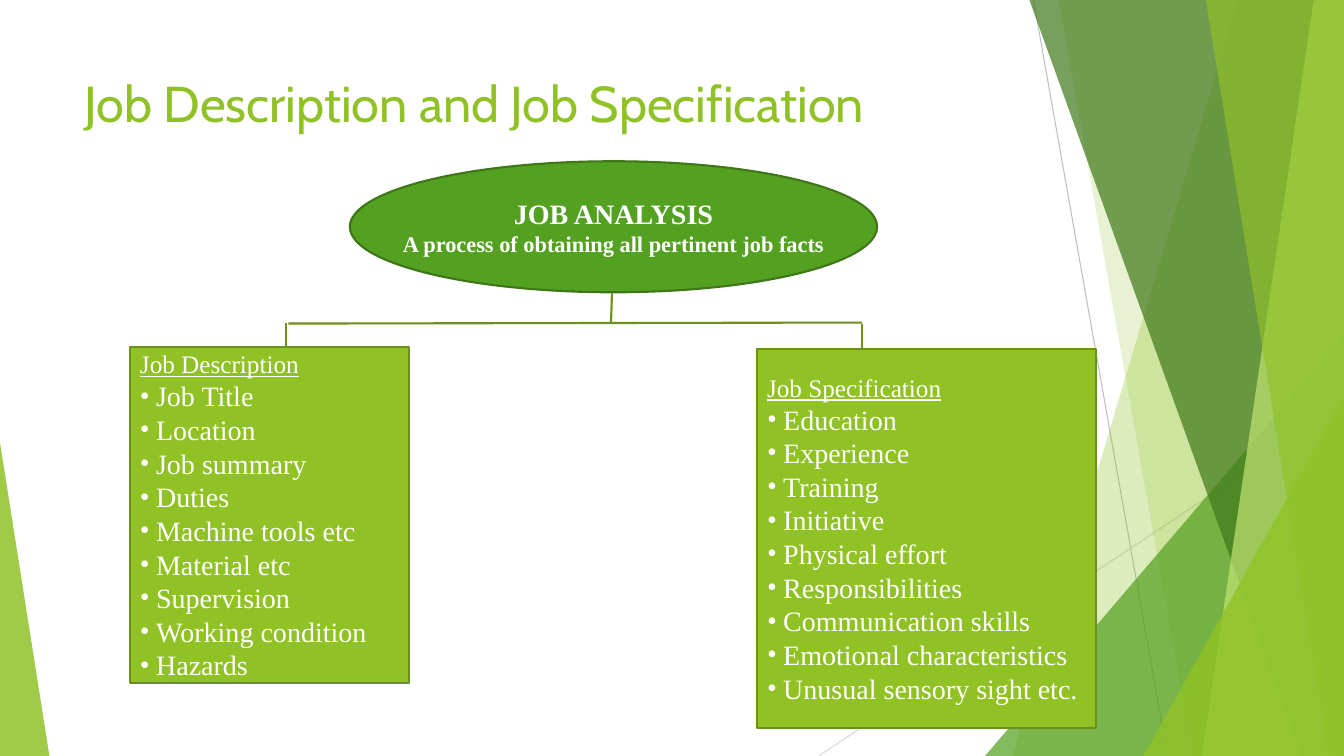
from dataclasses import dataclass

from lxml import etree
from pptx import Presentation
from pptx import util as u
from pptx.dml.color import RGBColor
from pptx.enum import shapes, text
from pptx.oxml import ns

PX = 9144  # EMU per px, 100 px to the inch
WIDTH, HEIGHT = 1333, 750
HANGING_INDENT = 16

COLOURS = {
    "lime": "90C226",
    "pale lime": "C0E474",
    "green": "54A021",
    "dark green": "3F7819",
    "ellipse edge": "3E7618",
    "olive": "6B901C",
    "grey": "BFBFBF",
    "light grey": "D9D9D9",
    "white": "FFFFFF",
}
SERIF, SANS = "Times New Roman", "Cabin"


@dataclass
class Line:
    x1: int
    y1: int
    x2: int
    y2: int
    colour: str = "olive"
    points: float = 1.5


@dataclass
class Band:
    """Full-height facet reaching from a slanted left edge to the slide's right edge."""
    top_x: int
    bottom_x: int
    colour: str
    opacity: int


@dataclass
class Triangle:
    """Right-angled facet standing on the slide's bottom edge."""
    left: int
    top: int
    width: int
    peak: float
    colour: str
    opacity: int


@dataclass
class ListBox:
    left: int
    top: int
    width: int
    height: int
    heading: str
    items: list[str]


BACKGROUND_LINES = [
    Line(1025, 0, 1158, 750, "grey", 0.75),
    Line(1333, 403, 812, 750, "light grey", 0.75),
]
FACETS = [
    Band(1228, 1004, "lime", 30),
    Band(1050, 1183, "lime", 20),
    Triangle(977, 333, 356, 1, "green", 72),
    Band(1021, 1291, "dark green", 70),
    Band(1303, 1192, "pale lime", 70),
    Band(1196, 1318, "lime", 65),
    Triangle(1134, 393, 199, 1, "lime", 80),
    Triangle(0, 439, 49, 0, "lime", 85),
]
TREE_LINES = [
    Line(607, 291, 606, 321),
    Line(286, 321, 855, 320),
    Line(284, 320, 284, 345),
    Line(855, 321, 855, 346),
]
LIST_BOXES = [
    ListBox(129, 344, 277, 334, "Job Description", [
        "Job Title", "Location", "Job summary", "Duties", "Machine tools etc",
        "Material etc", "Supervision", "Working condition", "Hazards"]),
    ListBox(751, 346, 336, 376, "Job Specification", [
        "Education", "Experience", "Training", "Initiative", "Physical effort",
        "Responsibilities", "Communication skills", "Emotional characteristics",
        "Unusual sensory sight etc."]),
]


def rgb(colour: str) -> RGBColor:
    return RGBColor.from_string(COLOURS[colour])


def draw_line(slide, line: Line) -> None:
    connector = slide.shapes.add_connector(
        shapes.MSO_CONNECTOR.STRAIGHT,
        line.x1 * PX, line.y1 * PX, line.x2 * PX, line.y2 * PX)
    connector.line.color.rgb = rgb(line.colour)
    connector.line.width = u.Pt(line.points)
    etree.SubElement(connector._element.spPr, ns.qn("a:effectLst"))


def draw_facet(slide, facet: Band | Triangle) -> None:
    if isinstance(facet, Band):
        builder = slide.shapes.build_freeform(facet.top_x, 0, scale=PX)
        builder.add_line_segments([(WIDTH, 0), (WIDTH, HEIGHT), (facet.bottom_x, HEIGHT)])
        shape = builder.convert_to_shape()
    else:
        shape = slide.shapes.add_shape(
            shapes.MSO_SHAPE.ISOSCELES_TRIANGLE, facet.left * PX, facet.top * PX,
            facet.width * PX, (HEIGHT - facet.top) * PX)
        shape.adjustments[0] = facet.peak
    shape.shadow.inherit = False
    shape.line.fill.background()
    shape.fill.solid()
    shape.fill.fore_color.rgb = rgb(facet.colour)
    colour = shape._element.spPr.find(".//" + ns.qn("a:srgbClr"))
    etree.SubElement(colour, ns.qn("a:alpha"), val=str(facet.opacity * 1000))


def draw_box(slide, kind, left: int, top: int, width: int, height: int,
             fill: str, edge: str):
    shape = slide.shapes.add_shape(kind, left * PX, top * PX, width * PX, height * PX)
    shape.shadow.inherit = False
    shape.fill.solid()
    shape.fill.fore_color.rgb = rgb(fill)
    shape.line.color.rgb = rgb(edge)
    shape.line.width = u.Pt(1.5)
    shape.text_frame.vertical_anchor = text.MSO_ANCHOR.MIDDLE
    return shape


def format_paragraph(paragraph, points: int, font: str = SERIF, colour: str = "white",
                     align=text.PP_ALIGN.LEFT, bold: bool = False,
                     underline: bool = False) -> None:
    paragraph.alignment = align
    for run in paragraph.runs:
        run.font.size = u.Pt(points)
        run.font.name = font
        run.font.color.rgb = rgb(colour)
        run.font.bold = bold
        run.font.underline = underline


def add_bullet(paragraph) -> None:
    properties = paragraph._p.get_or_add_pPr()
    properties.set("marL", str(HANGING_INDENT * PX))
    properties.set("indent", str(-HANGING_INDENT * PX))
    etree.SubElement(properties, ns.qn("a:buFont"), typeface=SERIF)
    etree.SubElement(properties, ns.qn("a:buChar"), char="•")


def draw_list_box(slide, box: ListBox) -> None:
    shape = draw_box(slide, shapes.MSO_SHAPE.RECTANGLE,
                     box.left, box.top, box.width, box.height, "lime", "olive")
    frame = shape.text_frame
    frame.word_wrap = True
    frame.text = "\n".join([box.heading, *box.items])
    heading, *items = frame.paragraphs
    format_paragraph(heading, 18, underline=True)
    for paragraph in items:
        format_paragraph(paragraph, 20)
        add_bullet(paragraph)


def draw_job_analysis(slide) -> None:
    ellipse = draw_box(slide, shapes.MSO_SHAPE.OVAL, 347, 160, 523, 130,
                       "green", "ellipse edge")
    frame = ellipse.text_frame
    frame.word_wrap = False
    frame.text = "JOB ANALYSIS\nA process of obtaining all pertinent job facts"
    for paragraph, points in zip(frame.paragraphs, (20, 16)):
        format_paragraph(paragraph, points, align=text.PP_ALIGN.CENTER, bold=True)


def draw_title(slide) -> None:
    title = slide.shapes.add_textbox(74 * PX, 67 * PX, 940 * PX, 144 * PX)
    title.text_frame.word_wrap = True
    title.text_frame.text = "Job Description and Job Specification"
    format_paragraph(title.text_frame.paragraphs[0], 36, SANS, "lime")


def main() -> None:
    presentation = Presentation()
    presentation.slide_width, presentation.slide_height = WIDTH * PX, HEIGHT * PX
    slide = presentation.slides.add_slide(presentation.slide_layouts[6])

    # Faceted background
    for line in BACKGROUND_LINES:
        draw_line(slide, line)
    for facet in FACETS:
        draw_facet(slide, facet)

    # Tree: analysis at the top, its two results below
    draw_job_analysis(slide)
    for line in TREE_LINES:
        draw_line(slide, line)
    for box in LIST_BOXES:
        draw_list_box(slide, box)

    draw_title(slide)
    presentation.save("out.pptx")


if __name__ == "__main__":
    main()
